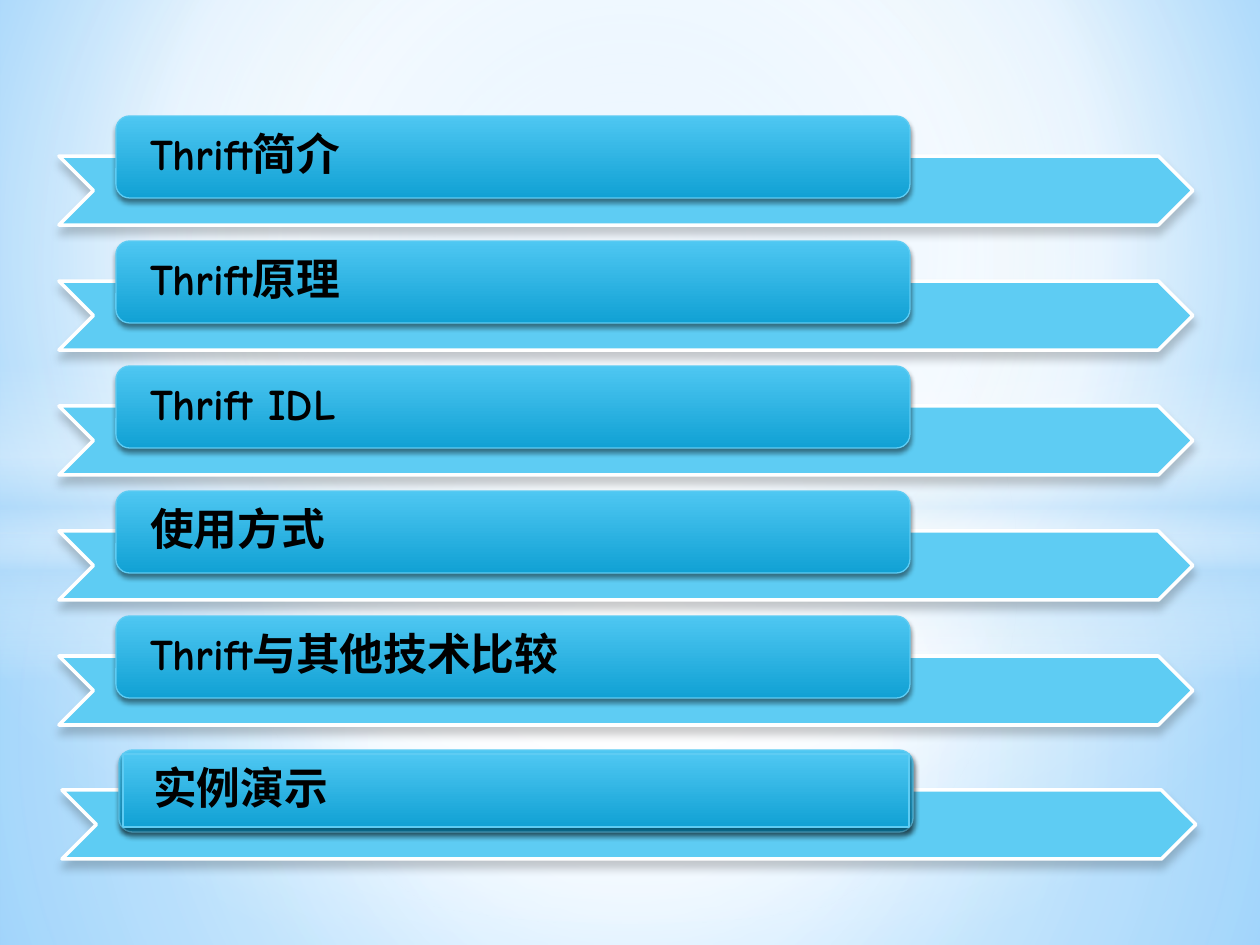
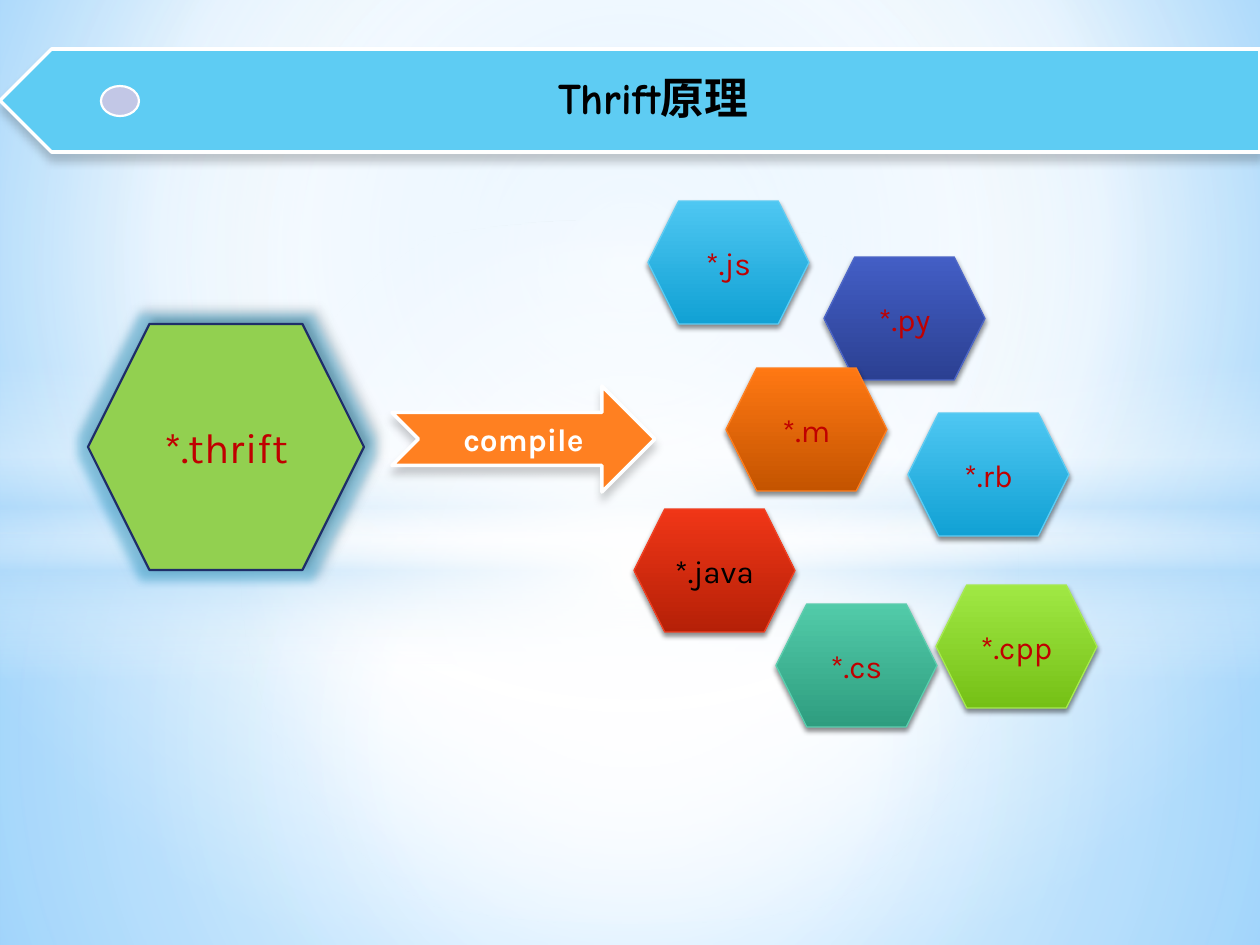
from lxml.etree import SubElement
from pptx import Presentation
from pptx.dml.color import RGBColor
from pptx.enum.shapes import MSO_SHAPE
from pptx.enum.text import MSO_ANCHOR, MSO_AUTO_SIZE, PP_ALIGN
from pptx.oxml.ns import qn
from pptx.util import Emu, Pt

SCALE = 914400 / 126  # EMU per pixel
WIDTH, HEIGHT = 1260, 945

HEADING_FONT, BODY_FONT = "Comic Neue", "Karla"
BLACK, WHITE, CRIMSON = "000000", "FFFFFF", "C00000"
SKY, PALE = "5ECCF3", "B4DCFA"

# Gradient pair and outline of each plate colour
BLUE = ("4EC7F2", "11A1D4", SKY)
INDIGO = ("435EC5", "2B4092", "4E67C8")
ORANGE = ("FF7813", "C45400", "FF8021")
RED = ("F03617", "B52007", "F14124")
GREEN = ("A0E844", "75C016", "A7EA52")
TEAL = ("52CBA9", "2E9D7F", "5DCEAF")

# Shadows: opacity %, blur pt, distance pt, angle
BAND_SHADOW = (20, 5, 4, 90)
PLATE_SHADOW = (45, 3.1, 1.8, 90)
SOURCE_SHADOW = (40, 4, 3, 315)

CENTRE = (50, 50, 50, 50)


def px(length):
    return Emu(round(length * SCALE))


def rgb(hex_colour):
    return RGBColor.from_string(hex_colour)


def add_colour(parent, hex_colour, opacity=100):
    colour = SubElement(parent, qn("a:srgbClr"), val=hex_colour)
    if opacity < 100:
        SubElement(colour, qn("a:alpha"), val=str(opacity * 1000))


def set_gradient(fill, holder, stops, angle=90, focus=None):
    """Fill holder with (position, colour, opacity) stops, linear or circular."""
    fill.gradient()
    gradient = holder.find(qn("a:gradFill"))
    for child in list(gradient):
        gradient.remove(child)
    stop_list = SubElement(gradient, qn("a:gsLst"))
    for position, hex_colour, opacity in stops:
        stop = SubElement(stop_list, qn("a:gs"), pos=str(position * 1000))
        add_colour(stop, hex_colour, opacity)
    if focus:
        circle = SubElement(gradient, qn("a:path"), path="circle")
        edges = {side: str(value * 1000) for side, value in zip("ltrb", focus)}
        SubElement(circle, qn("a:fillToRect"), **edges)
    else:
        SubElement(gradient, qn("a:lin"), ang=str(angle * 60000), scaled="0")


def write(shape, text, size=18, font=BODY_FONT, colour=CRIMSON, bold=False,
          align=PP_ALIGN.CENTER, spacing=None, insets=None):
    frame = shape.text_frame
    frame.word_wrap = True
    frame.auto_size = MSO_AUTO_SIZE.NONE
    frame.vertical_anchor = MSO_ANCHOR.MIDDLE
    if insets:
        (frame.margin_left, frame.margin_top,
         frame.margin_right, frame.margin_bottom) = map(px, insets)
    paragraph = frame.paragraphs[0]
    paragraph.alignment = align
    if spacing:
        paragraph.line_spacing = spacing
    run = paragraph.add_run()
    run.text = text
    run.font.size, run.font.name, run.font.bold = Pt(size), font, bold
    run.font.color.rgb = rgb(colour)


class Deck:
    heading = dict(size=25, font=HEADING_FONT, colour=BLACK, bold=True, spacing=0.9)

    def __init__(self):
        self.show = Presentation()
        self.show.slide_width, self.show.slide_height = px(WIDTH), px(HEIGHT)
        self.slide = None

    def new_slide(self, layout):
        self.slide = self.show.slides.add_slide(self.show.slide_layouts[layout])

    def shape(self, kind, box, fill=None, line=None, weight=0.75, shadow=None, glow=None):
        """Add a preset shape; a plain string as fill gives a solid colour."""
        shape = self.slide.shapes.add_shape(kind, *map(px, box))
        if isinstance(fill, str):
            shape.fill.solid()
            shape.fill.fore_color.rgb = rgb(fill)
        if line:
            shape.line.color.rgb = rgb(line)
            shape.line.width = Pt(weight)
        else:
            shape.line.fill.background()
        shape.shadow.inherit = False
        effects = shape.element.spPr.find(qn("a:effectLst"))
        if glow:
            hex_colour, radius, opacity = glow
            halo = SubElement(effects, qn("a:glow"), rad=str(Pt(radius)))
            add_colour(halo, hex_colour, opacity)
        if shadow:
            opacity, blur, distance, angle = shadow
            cast = SubElement(effects, qn("a:outerShdw"), blurRad=str(Pt(blur)),
                              dist=str(Pt(distance)), dir=str(angle * 60000),
                              rotWithShape="0")
            add_colour(cast, BLACK, opacity)
        return shape

    def band(self, kind, box, fill=SKY):
        return self.shape(kind, box, fill, WHITE, 2, BAND_SHADOW)

    def plate(self, kind, box, palette=BLUE):
        top, bottom, line = palette
        plate = self.shape(kind, box, line=line, shadow=PLATE_SHADOW)
        set_gradient(plate.fill, plate.element.spPr, [(0, top, 100), (100, bottom, 100)])
        return plate

    def haze(self, kind, box, stops, focus=None):
        haze = self.shape(kind, box)
        set_gradient(haze.fill, haze.element.spPr, stops, focus=focus)
        return haze

    def backdrop(self):
        """Draw the sky once and hand it to the master."""
        master = self.show.slide_master
        sky = master.background.fill
        sky.solid()
        set_gradient(sky, master.element.find(".//" + qn("p:bgPr")),
                     [(0, "9ED5FF", 100), (60, WHITE, 100), (100, "5BB9FF", 100)],
                     focus=(20, 10, 20, 60))
        layers = [
            self.haze(MSO_SHAPE.RECTANGLE, (0, 533, WIDTH, 412),
                      [(0, WHITE, 91), (37, WHITE, 76), (100, PALE, 79)], CENTRE),
            self.haze(MSO_SHAPE.RECTANGLE, (0, 0, WIDTH, 533),
                      [(0, WHITE, 89), (48, WHITE, 62), (100, PALE, 79)], CENTRE),
            self.haze(MSO_SHAPE.RECTANGLE, (0, 365, WIDTH, 315),
                      [(0, WHITE, 0), (29, WHITE, 30), (45, PALE, 40),
                       (55, WHITE, 26), (65, PALE, 60), (100, WHITE, 0)]),
            self.haze(MSO_SHAPE.OVAL, (0, 220, WIDTH, 703),
                      [(0, WHITE, 100), (54, WHITE, 0)], CENTRE),
        ]
        for order, layer in enumerate(layers):
            layer.element.nvSpPr.cNvPr.set("id", str(20 + order))
            master.shapes.element.insert(2 + order, layer.element)

    def agenda_row(self, left, top, topic, boxed=False):
        self.band(MSO_SHAPE.CHEVRON, (left, top, 1134, 69))
        self.plate(MSO_SHAPE.ROUNDED_RECTANGLE, (left + 57, top - 40, 794, 82))
        label_box = (left + 61, top - 36, 786, 73)
        if boxed:
            label = self.plate(MSO_SHAPE.RECTANGLE, label_box)
        else:
            label = self.slide.shapes.add_textbox(*map(px, label_box))
        write(label, topic, align=PP_ALIGN.LEFT, insets=(30, 0, 30, 0), **self.heading)

    def title(self, text):
        banner = self.band(MSO_SHAPE.PENTAGON, (0, 49, WIDTH, 103))
        banner.rotation = 180
        title = self.slide.shapes.title
        title.left, title.top, title.width, title.height = map(px, (25, 49, 1235, 103))
        write(title, text, insets=(45, 13, 24, 13), **self.heading)
        banner.element.addnext(title.element)  # title above its banner
        self.shape(MSO_SHAPE.OVAL, (101, 86, 38, 30), "C2C7E6", WHITE, 1.25)

    def file_type(self, left, top, suffix, palette, colour=CRIMSON):
        hexagon = self.plate(MSO_SHAPE.HEXAGON, (left, top, 161, 123), palette)
        write(hexagon, suffix, colour=colour)


deck = Deck()

# Slide 1: agenda
deck.new_slide(6)
deck.backdrop()
topics = ["Thrift简介", "Thrift原理", "Thrift IDL", "使用方式", "Thrift与其他技术比较"]
for row, topic in enumerate(topics):
    deck.agenda_row(59, 156 + 125 * row, topic)
deck.agenda_row(62, 790, "实例演示", boxed=True)

# Slide 2: one interface file compiled into many languages
deck.new_slide(5)
deck.title("Thrift原理")
interface_file = deck.shape(MSO_SHAPE.HEXAGON, (88, 324, 276, 246), "92D050", "1F2E69",
                            1.25, SOURCE_SHADOW, glow=("30A8D8", 11, 40))
write(interface_file, "*.thrift", size=24)
compile_step = deck.band(MSO_SHAPE.NOTCHED_RIGHT_ARROW, (392, 386, 263, 106), "FF8021")
write(compile_step, "compile", colour=WHITE, bold=True)

deck.file_type(634, 509, "*.java", RED, BLACK)
for left, top, suffix, palette in [
    (936, 585, "*.cpp", GREEN),
    (776, 604, "*.cs", TEAL),
    (824, 257, "*.py", INDIGO),
    (648, 201, "*.js", BLUE),
    (726, 368, "*.m", ORANGE),
    (908, 413, "*.rb", BLUE),
]:
    deck.file_type(left, top, suffix, palette)

deck.show.save("out.pptx")
